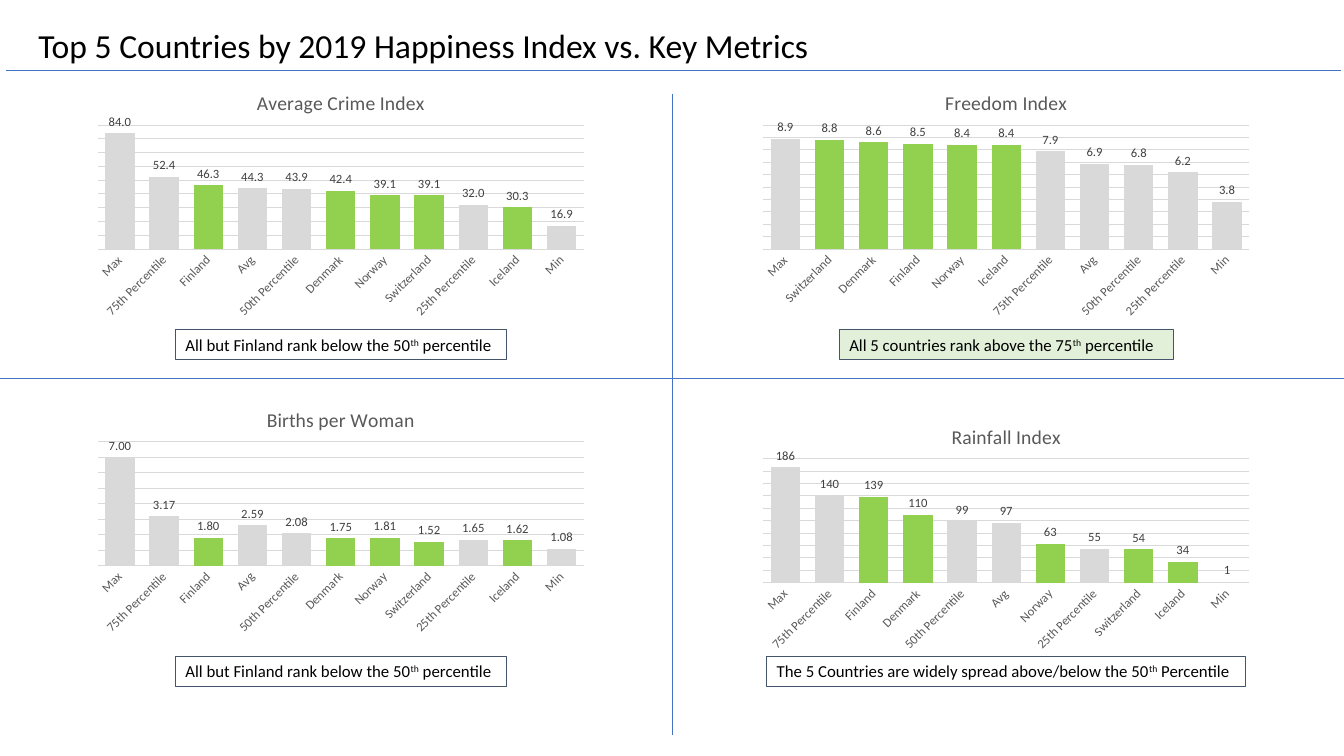
from lxml import etree
from pptx import Presentation
from pptx import util as u
from pptx.chart.data import CategoryChartData
from pptx.dml.color import RGBColor
from pptx.enum import chart as ch, shapes, text
from pptx.oxml import ns, parse_xml

FONT = "Calibri"
BLACK = RGBColor(0x00, 0x00, 0x00)
GREY = RGBColor(0x59, 0x59, 0x59)
LABEL = RGBColor(0x40, 0x40, 0x40)
LIGHT = RGBColor(0xD9, 0xD9, 0xD9)
GREEN = RGBColor(0x92, 0xD0, 0x50)
PALE_GREEN = RGBColor(0xE2, 0xF0, 0xD9)
BLUE = RGBColor(0x44, 0x72, 0xC4)
NAVY = RGBColor(0x44, 0x54, 0x6A)

CHART_W, CHART_H, NOTE_H = 5.02, 2.46, 0.3
LEFT_COL, RIGHT_COL = 0.87, 7.47
TOP_ROW_END, BOTTOM_ROW_END = 3.57, 6.81
HAPPIEST = {"Finland", "Denmark", "Norway", "Switzerland", "Iceland"}
CRIME_ORDER = ["Max", "75th Percentile", "Finland", "Avg", "50th Percentile", "Denmark",
               "Norway", "Switzerland", "25th Percentile", "Iceland", "Min"]
FREEDOM_ORDER = ["Max", "Switzerland", "Denmark", "Finland", "Norway", "Iceland",
                 "75th Percentile", "Avg", "50th Percentile", "25th Percentile", "Min"]
RAINFALL_ORDER = ["Max", "75th Percentile", "Finland", "Denmark", "50th Percentile", "Avg",
                  "Norway", "25th Percentile", "Switzerland", "Iceland", "Min"]

PLOT_LAYOUT = (
    '<c:layout %s><c:manualLayout><c:layoutTarget val="inner"/>'
    '<c:xMode val="edge"/><c:yMode val="edge"/><c:x val="0.02"/><c:y val="0.2"/>'
    '<c:w val="0.96"/><c:h val="0.5"/></c:manualLayout></c:layout>' % ns.nsdecls("c"))


def style(font, size, color):
    font.name = FONT
    font.size = u.Pt(size)
    font.bold = False
    font.color.rgb = color


def add_title(s, box, title):
    sp = s.shapes.title
    sp.left, sp.top, sp.width, sp.height = map(u.Inches, box)
    tf = sp.text_frame
    tf.text = title
    tf.word_wrap = False
    tf.vertical_anchor = text.MSO_ANCHOR.MIDDLE
    p = tf.paragraphs[0]
    p.alignment = text.PP_ALIGN.LEFT
    style(p.runs[0].font, 24, BLACK)


def add_rule(s, x1, y1, x2, y2):
    line = s.shapes.add_connector(shapes.MSO_CONNECTOR.STRAIGHT, *map(u.Inches, (x1, y1, x2, y2)))
    line.line.color.rgb = BLUE
    line.line.width = u.Pt(0.5)
    etree.SubElement(line._element.spPr, ns.qn("a:effectLst"))


def add_column_chart(s, box, title, cats, vals, fmt, top, step):
    data = CategoryChartData(number_format=fmt)
    data.categories = cats
    data.add_series(title, vals)
    chart = s.shapes.add_chart(
        ch.XL_CHART_TYPE.COLUMN_CLUSTERED, *map(u.Inches, box), data).chart
    style(chart.font, 10, BLACK)
    chart.has_legend = False
    chart.has_title = True
    chart.chart_title.include_in_layout = False
    tf = chart.chart_title.text_frame
    tf.text = title
    style(tf.paragraphs[0].runs[0].font, 14, GREY)

    plot = chart.plots[0]
    plot.vary_by_categories = False
    plot.gap_width = 50
    plot.overlap = -27
    plot.has_data_labels = True
    labels = plot.data_labels
    labels.show_value = True
    labels.number_format = fmt
    labels.number_format_is_linked = False
    labels.position = ch.XL_LABEL_POSITION.OUTSIDE_END
    style(labels.font, 9, LABEL)

    series = plot.series[0]
    series.invert_if_negative = False
    series.format.fill.solid()
    series.format.fill.fore_color.rgb = LIGHT
    for i, cat in enumerate(cats):
        if cat in HAPPIEST:
            fill = series.points[i].format.fill
            fill.solid()
            fill.fore_color.rgb = GREEN

    axis = chart.category_axis
    axis.major_tick_mark = ch.XL_TICK_MARK.NONE
    style(axis.tick_labels.font, 9, GREY)
    axis._element.find(ns.qn("c:txPr")).find(ns.qn("a:bodyPr")).set("rot", "-2700000")
    values = chart.value_axis
    values.visible = False
    values.minimum_scale, values.maximum_scale, values.major_unit = 0, top, step
    for line in (axis.format.line, values.major_gridlines.format.line):
        line.color.rgb = LIGHT
        line.width = u.Pt(0.75)

    area = chart._chartSpace.chart.plotArea
    for layout in area.findall(ns.qn("c:layout")):
        area.remove(layout)
    area.insert(0, parse_xml(PLOT_LAYOUT))


def add_note(s, box, parts, fill):
    sp = s.shapes.add_shape(shapes.MSO_SHAPE.RECTANGLE, *map(u.Inches, box))
    sp.shadow.inherit = False
    if fill is None:
        sp.fill.background()
    else:
        sp.fill.solid()
        sp.fill.fore_color.rgb = fill
    sp.line.color.rgb = NAVY
    sp.line.width = u.Pt(0.75)
    tf = sp.text_frame
    tf.word_wrap = True
    tf.margin_right = 0
    tf.vertical_anchor = text.MSO_ANCHOR.MIDDLE
    p = tf.paragraphs[0]
    p.alignment = text.PP_ALIGN.LEFT
    for part in parts:
        r = p.add_run()
        r.text = part
        style(r.font, 12, BLACK)
        if part == "th":
            r._r.get_or_add_rPr().set("baseline", "30000")


def add_panel(s, left, top, bottom, chart, note, note_w, fill=None):
    add_column_chart(s, (left, top, CHART_W, CHART_H), *chart)
    note_left = left + (CHART_W - note_w) / 2
    add_note(s, (note_left, bottom - NOTE_H, note_w, NOTE_H), note, fill)


prs = Presentation()
prs.slide_width, prs.slide_height = u.Inches(13.33), u.Inches(7.5)
s = prs.slides.add_slide(prs.slide_layouts[5])

add_title(s, (0.28, 0.2, 7.91, 0.5), "Top 5 Countries by 2019 Happiness Index vs. Key Metrics")

below_median = ("All but Finland rank below the 50", "th", " percentile")
add_panel(s, LEFT_COL, 0.75, TOP_ROW_END,
          ("Average Crime Index", CRIME_ORDER,
           (84, 52.4, 46.3, 44.3, 43.9, 42.4, 39.1, 39.1, 32, 30.3, 16.9), "0.0", 90, 10),
          below_median, 3.28)
add_panel(s, RIGHT_COL, 0.75, TOP_ROW_END,
          ("Freedom Index", FREEDOM_ORDER,
           (8.9, 8.8, 8.6, 8.5, 8.4, 8.4, 7.9, 6.9, 6.8, 6.2, 3.8), "0.0", 10, 1),
          ("All 5 countries rank above the 75", "th", " percentile"), 3.31, PALE_GREEN)
add_panel(s, LEFT_COL, 3.89, BOTTOM_ROW_END,
          ("Births per Woman", CRIME_ORDER,
           (7, 3.17, 1.8, 2.59, 2.08, 1.75, 1.81, 1.52, 1.65, 1.62, 1.08), "0.00", 8, 1),
          below_median, 3.28)
add_panel(s, RIGHT_COL, 4.06, BOTTOM_ROW_END,
          ("Rainfall Index", RAINFALL_ORDER,
           (186, 140, 139, 110, 99, 97, 63, 55, 54, 34, 1), "0", 200, 20),
          ("The 5 Countries are widely spread above/below the 50", "th", " Percentile"), 4.75)

for ends in ((0.06, 0.7, 13.3, 0.7), (0, 3.75, 13.33, 3.75), (6.67, 0.93, 6.67, 7.29)):
    add_rule(s, *ends)

prs.save("out.pptx")
